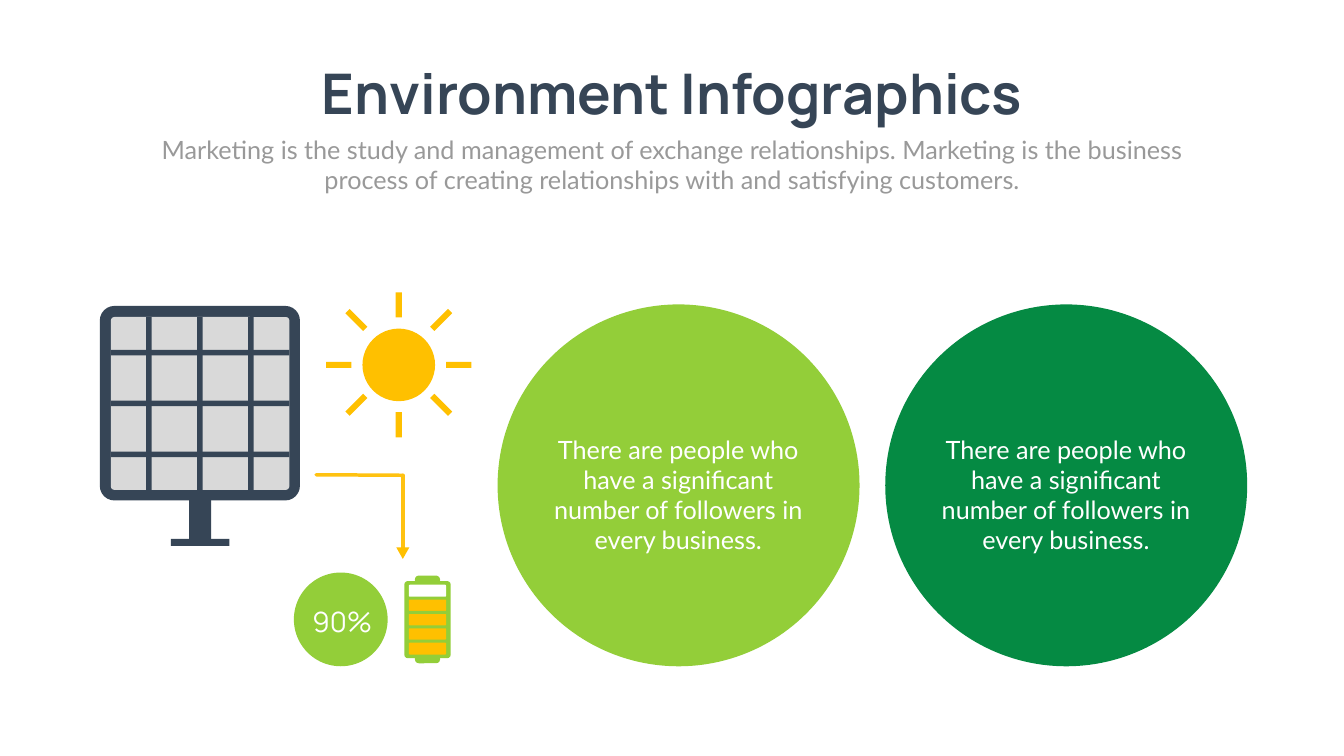
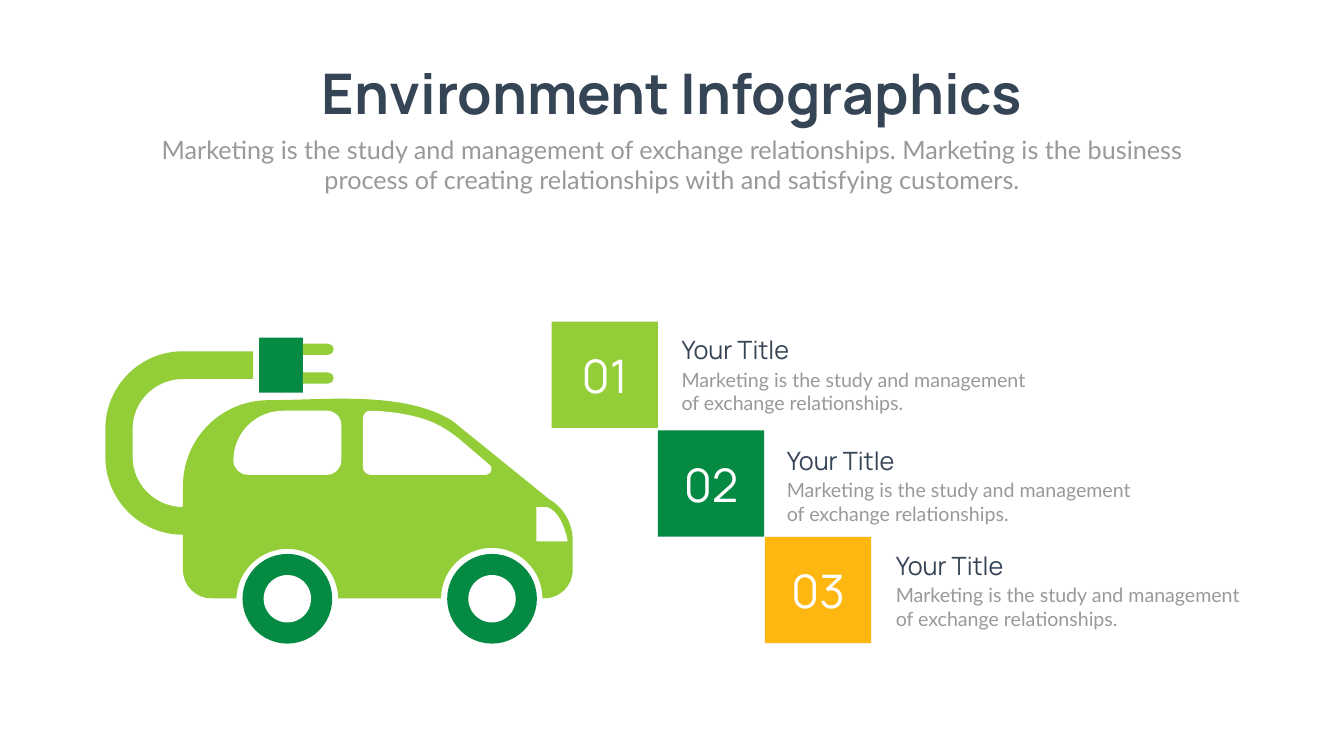
from dataclasses import dataclass
from math import cos, radians, sin

from lxml.etree import SubElement
from pptx import Presentation
from pptx.dml.color import RGBColor
from pptx.enum.shapes import MSO_CONNECTOR, MSO_SHAPE
from pptx.enum.text import MSO_ANCHOR, MSO_AUTO_SIZE, PP_ALIGN
from pptx.oxml.ns import qn
from pptx.util import Emu, Pt


@dataclass(frozen=True)
class Theme:
    navy: str = "364556"
    grey: str = "999999"
    panel: str = "D9D9D9"
    lime: str = "93CE39"
    green: str = "058A43"
    sun: str = "FFC000"
    arrow: str = "FFC211"
    amber: str = "FEB611"
    white: str = "FFFFFF"
    heading: str = "Manrope"
    body: str = "Lato"
    title_size: int = 80
    number_size: int = 66
    charge_size: int = 40
    text_size: int = 36
    small_size: int = 28
    arrow_width: int = 5


THEME = Theme()
PX = 9144  # one px is a hundredth of an inch
SLIDE_SIZE = (2666, 1500)

TITLE = "Environment Infographics"
SUBTITLE = ("Marketing is the study and management of exchange relationships. "
            "Marketing is the business process of creating relationships with "
            "and satisfying customers.")
CHARGE = "90%"
CIRCLE_TEXT = ("There are people who have a significant number of followers "
               "in every business.")
CIRCLES = [(987, THEME.lime), (1756, THEME.green)]  # left, colour

STEP_TITLE = "Your Title"
STEP_TEXT = "Marketing is the study and management of exchange relationships."
STEPS = [  # number, colour, square top, label left and top
    ("01", THEME.lime, 638, 1342, 659),
    ("02", THEME.green, 854, 1551, 878),
    ("03", THEME.amber, 1065, 1767, 1086),
]

# Outlines: a start point, then lines (x, y) and curves (x1, y1, x2, y2, x, y)
CAR_BODY = [
    (1090, 991), (896, 834), (798, 775, 647, 794, 533, 794),
    (439, 794, 363, 870, 363, 964), (363, 1131),
    (363, 1162, 388, 1187, 419, 1187), (469, 1187),
    (471, 1132, 517, 1088, 572, 1089), (626, 1090, 670, 1134, 671, 1187),
    (875, 1187), (875, 1132, 920, 1087, 976, 1087),
    (1031, 1087, 1076, 1132, 1076, 1187), (1080, 1187),
    (1111, 1187, 1136, 1162, 1136, 1131), (1136, 1073),
    (1136, 1039, 1119, 1008, 1090, 991),
]
FRONT_WINDOW = [
    (972, 923), (911, 871), (888, 852, 862, 837, 833, 829),
    (801, 820, 769, 816, 736, 815), (727, 814, 720, 821, 720, 830),
    (720, 927), (720, 935, 727, 942, 735, 942), (965, 942),
    (971, 942, 975, 937, 975, 931), (976, 928, 974, 925, 972, 923),
]
REAR_WINDOW = [
    (491, 942), (649, 942), (664, 942, 677, 929, 677, 914), (677, 843),
    (677, 827, 664, 815, 649, 815), (562, 815),
    (507, 815, 463, 859, 463, 914), (463, 929, 476, 942, 491, 942),
]
CABLE = [
    (363, 1061), (278, 1061, 209, 992, 209, 906), (209, 851),
    (209, 766, 278, 697, 363, 697), (502, 697), (502, 752), (363, 752),
    (308, 752, 263, 796, 263, 851), (263, 906),
    (263, 962, 308, 1006, 363, 1006),
]
HEADLIGHT = [(1064, 1074), (1126, 1074), (1126, 1074, 1117, 1017, 1085, 1006),
             (1064, 1006)]
PRONG = [(651, 682), (601, 682), (601, 704), (651, 704),
         (657, 704, 662, 699, 662, 693), (662, 687, 657, 682, 651, 682)]
PRONG_GAP = 57
WHEELS = [(570, 1188), (976, 1188)]


def emu(*lengths):
    return [Emu(round(length * PX)) for length in lengths]


def paint(shape, color):
    shape.shadow.inherit = False
    shape.fill.solid()
    shape.fill.fore_color.rgb = RGBColor.from_string(color)
    shape.line.fill.background()
    return shape


def draw(shapes, kind, box, color, rotation=0, radius=None):
    shape = paint(shapes.add_shape(kind, *emu(*box)), color)
    shape.rotation = rotation
    if radius is not None:
        shape.adjustments[0] = radius / min(box[2:])
    return shape


def draw_disc(shapes, center, radius, color):
    x, y = center
    return draw(shapes, MSO_SHAPE.OVAL,
                (x - radius, y - radius, 2 * radius, 2 * radius), color)


def draw_outline(shapes, outline, color, down=0):
    """Draw a closed outline, joining the three points of each curve into a Bezier."""
    start, *rest = [emu(x, y + down) for segment in outline
                    for x, y in zip(segment[::2], segment[1::2])]
    builder = shapes.build_freeform(*start)
    builder.add_line_segments(rest, close=True)
    shape = paint(builder.convert_to_shape(), color)
    lines = iter(list(shape._element.iter(qn("a:lnTo"))))
    for segment in outline[1:]:
        first = next(lines)
        if len(segment) == 6:
            first.tag = qn("a:cubicBezTo")
            for control in (next(lines), next(lines)):
                first.append(control[0])
                control.getparent().remove(control)


def draw_line(shapes, start, end, color, width):
    line = shapes.add_connector(MSO_CONNECTOR.STRAIGHT, *emu(*start, *end))
    line.line.color.rgb = RGBColor.from_string(color)
    line.line.width = Pt(width)
    properties = line._element.spPr
    properties.find(qn("a:ln")).set("cap", "rnd")
    SubElement(properties, qn("a:effectLst"))


def write(shape, text, *, size, color, font=THEME.body, bold=False,
          align=PP_ALIGN.LEFT, wrap=True, anchor=MSO_ANCHOR.TOP, grow=True):
    frame = shape.text_frame
    frame.word_wrap = wrap
    frame.vertical_anchor = anchor
    frame.auto_size = MSO_AUTO_SIZE.SHAPE_TO_FIT_TEXT if grow else MSO_AUTO_SIZE.NONE
    paragraph = frame.paragraphs[0]
    paragraph.alignment = align
    run = paragraph.add_run()
    run.text = text
    run.font.name, run.font.size, run.font.bold = font, Pt(size), bold
    run.font.color.rgb = RGBColor.from_string(color)


def add_text(shapes, box, text, **text_format):
    write(shapes.add_textbox(*emu(*box)), text, **text_format)


def add_titled_slide(deck):
    slide = deck.slides.add_slide(deck.slide_layouts[6])
    add_text(slide.shapes, (570, 112, 1527, 145), TITLE, size=THEME.title_size,
             color=THEME.navy, font=THEME.heading, bold=True,
             align=PP_ALIGN.CENTER, wrap=False)
    add_text(slide.shapes, (292, 261, 2082, 131), SUBTITLE,
             size=THEME.text_size, color=THEME.grey, align=PP_ALIGN.CENTER)
    return slide


def draw_solar_panel(shapes):
    draw(shapes, MSO_SHAPE.RECTANGLE, (375, 963, 44, 119), THEME.navy)
    draw(shapes, MSO_SHAPE.RECTANGLE, (339, 1069, 116, 14), THEME.navy)
    draw(shapes, MSO_SHAPE.ROUNDED_RECTANGLE, (198, 607, 397, 386), THEME.navy, radius=29)
    left, top, width, height = glass = (220, 629, 354, 343)
    draw(shapes, MSO_SHAPE.ROUNDED_RECTANGLE, glass, THEME.panel, radius=7)
    bar, pitch = 11, 101
    for i in range(3):
        draw(shapes, MSO_SHAPE.RECTANGLE, (290 + i * pitch, top, bar, height), THEME.navy)
        draw(shapes, MSO_SHAPE.RECTANGLE, (left, 694 + i * pitch, width, bar), THEME.navy)


def draw_sun(shapes):
    x, y = center = (791, 724)
    draw_disc(shapes, center, 72, THEME.sun)
    width, length, distance, diagonal_lift = 12, 50, 119, 5
    for angle in range(0, 360, 45):
        ray_x = x + distance * sin(radians(angle))
        ray_y = y - distance * cos(radians(angle))
        if angle % 90:
            ray_y -= diagonal_lift
        draw(shapes, MSO_SHAPE.RECTANGLE,
             (ray_x - width / 2, ray_y - length / 2, width, length),
             THEME.sun, rotation=angle % 180)


def draw_battery(shapes):
    for top in (1142, 1299):
        draw(shapes, MSO_SHAPE.ROUNDED_RECTANGLE, (823, top, 50, 17), THEME.lime, radius=8)
    draw(shapes, MSO_SHAPE.ROUNDED_RECTANGLE, (802, 1153, 92, 153), THEME.lime, radius=7)
    offsets = [57 * i // 2 for i in range(5)]
    for i, offset in enumerate(offsets):
        draw(shapes, MSO_SHAPE.ROUNDED_RECTANGLE, (811, 1160 + offset, 74, 25),
             THEME.sun if i else THEME.white, radius=3)
    for offset in offsets[:-1]:
        draw(shapes, MSO_SHAPE.RECTANGLE, (806, 1184 + offset, 83, 6), THEME.lime)


def draw_charge_arrow(shapes):
    start, corner, end = (627, 942), (799, 943), (799, 1090)
    draw_line(shapes, start, corner, THEME.arrow, THEME.arrow_width)
    draw_line(shapes, corner, end, THEME.arrow, THEME.arrow_width)
    draw(shapes, MSO_SHAPE.ISOSCELES_TRIANGLE, (786, 1086, 26, 23), THEME.sun, rotation=180)


def build_solar_slide(deck):
    slide = add_titled_slide(deck)
    scene = slide.shapes.add_group_shape().shapes
    draw_solar_panel(scene)
    draw_sun(scene)
    draw_disc(scene, (676, 1229), 93, THEME.lime)
    draw_battery(scene)
    draw_charge_arrow(scene)
    add_text(scene, (602, 1194, 154, 77), CHARGE, size=THEME.charge_size,
             color=THEME.white, font=THEME.heading, align=PP_ALIGN.CENTER)
    radius = 359
    for left, color in CIRCLES:
        draw_disc(slide.shapes, (left + radius, 963), radius, color)
    for left, _ in CIRCLES:
        add_text(slide.shapes, (left + 85, 856, 547, 252), CIRCLE_TEXT,
                 size=THEME.text_size, color=THEME.white, align=PP_ALIGN.CENTER)


def draw_electric_car(shapes):
    draw_outline(shapes, CAR_BODY, THEME.lime)
    for center in WHEELS:
        draw_disc(shapes, center, 89, THEME.green)
        draw_disc(shapes, center, 47, THEME.white)
    for outline in (FRONT_WINDOW, REAR_WINDOW, HEADLIGHT):
        draw_outline(shapes, outline, THEME.white)
    draw_outline(shapes, CABLE, THEME.lime)
    draw(shapes, MSO_SHAPE.RECTANGLE, (514, 670, 87, 109), THEME.green)
    for down in (0, PRONG_GAP):
        draw_outline(shapes, PRONG, THEME.lime, down)


def build_car_slide(deck):
    slide = add_titled_slide(deck)
    draw_electric_car(slide.shapes.add_group_shape().shapes)
    side = 211
    for i, (number, color, top, label_left, label_top) in enumerate(STEPS):
        square = draw(slide.shapes, MSO_SHAPE.RECTANGLE,
                      (1094 + 423 * i // 2, top, side, side), color)
        write(square, number, size=THEME.number_size, color=THEME.white,
              font=THEME.heading, align=PP_ALIGN.CENTER,
              anchor=MSO_ANCHOR.MIDDLE, grow=False)
        add_text(slide.shapes, (label_left, label_top, 501, 71), STEP_TITLE,
                 size=THEME.text_size, color=THEME.navy, font=THEME.heading)
        add_text(slide.shapes, (label_left, label_top + 66, 721, 104), STEP_TEXT,
                 size=THEME.small_size, color=THEME.grey)


def main():
    deck = Presentation()
    deck.slide_width, deck.slide_height = emu(*SLIDE_SIZE)
    build_solar_slide(deck)
    build_car_slide(deck)
    deck.save("out.pptx")


if __name__ == "__main__":
    main()
